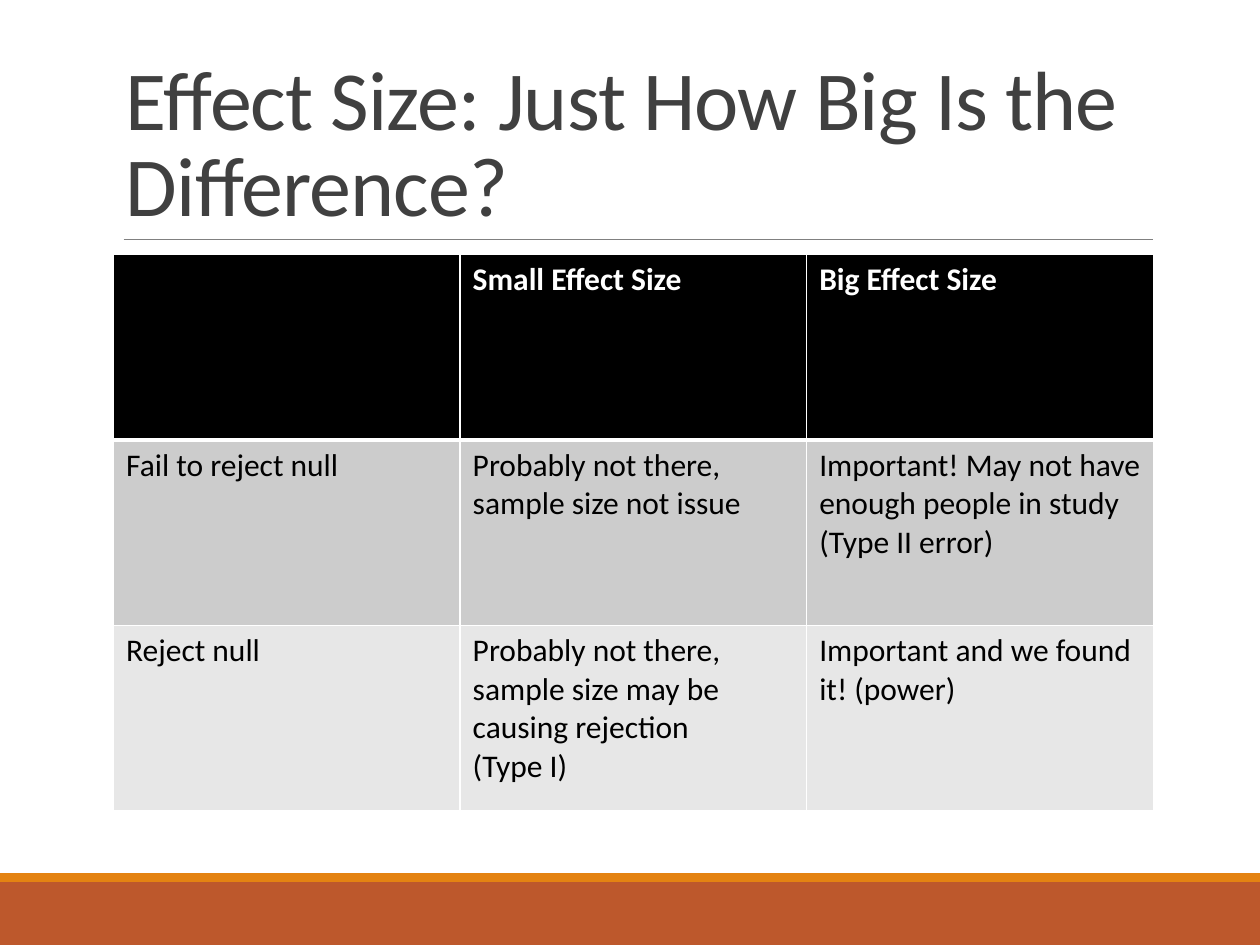
"""Build a slide with a table on effect size and null hypothesis decisions."""
from lxml.etree import SubElement
from pptx import Presentation
from pptx.dml.color import RGBColor
from pptx.enum.shapes import MSO_CONNECTOR, MSO_SHAPE
from pptx.enum.text import MSO_ANCHOR as Anchor, PP_ALIGN as Align
from pptx.oxml import parse_xml
from pptx.oxml.ns import nsdecls, qn
from pptx.util import Cm, Pt

BLACK = RGBColor(0x00, 0x00, 0x00)
WHITE = RGBColor(0xFF, 0xFF, 0xFF)
CHARCOAL = RGBColor(0x40, 0x40, 0x40)
GRAY = RGBColor(0x80, 0x80, 0x80)
RUST = RGBColor(0xBD, 0x58, 0x2C)
ORANGE = RGBColor(0xE4, 0x83, 0x12)
BAND_DARK = RGBColor(0xCC, 0xCC, 0xCC)
BAND_LIGHT = RGBColor(0xE7, 0xE7, 0xE7)

TITLE = "Effect Size: Just How Big Is the Difference?"
ROWS = [
    ("", "Small Effect Size", "Big Effect Size"),
    (
        "Fail to reject null",
        "Probably not there, sample size not issue",
        "Important! May not have enough people in study\n(Type II error)",
    ),
    (
        "Reject null",
        "Probably not there, sample size may be causing rejection\n(Type I)",
        "Important and we found it! (power)",
    ),
]
ROW_FILLS = [BLACK, BAND_DARK, BAND_LIGHT]
FOOTER_BANDS = [(17.78, 1.27, RUST), (17.6, 0.18, ORANGE)]

SLIDE_WIDTH, SLIDE_HEIGHT = 25.4, 19.05
CONTENT_LEFT, CONTENT_WIDTH = 2.29, 20.96
TITLE_TOP, TITLE_HEIGHT = 0.79, 4.04
RULE_LEFT, RULE_RIGHT, RULE_TOP = 2.49, 23.25, 4.83
TABLE_TOP, ROW_HEIGHT = 5.13, 3.74


def write_text(frame, text, *, size, color, bold=False, line_spacing=None, tracking=None):
    """Fill a text frame with one paragraph per line of text."""
    frame.text = text
    frame.word_wrap = True
    for paragraph in frame.paragraphs:
        paragraph.alignment = Align.LEFT
        paragraph.line_spacing = line_spacing
        for run in paragraph.runs:
            run.font.name = "Calibri"
            run.font.size = Pt(size)
            run.font.bold = bold
            run.font.color.rgb = color
            if tracking is not None:
                run.font._element.set("spc", str(int(tracking * 100)))


def set_borders(cell, widths):
    """Give a cell white borders of the given widths in points."""
    properties = cell._tc.get_or_add_tcPr()
    for index, (side, width) in enumerate(widths.items()):
        border = parse_xml(
            f'<a:ln{side} {nsdecls("a")} w="{Pt(width)}"><a:solidFill>'
            f'<a:srgbClr val="{WHITE}"/></a:solidFill></a:ln{side}>'
        )
        properties.insert(index, border)


def add_footer(slide):
    """Draw the coloured bands along the bottom edge."""
    for top, height, color in FOOTER_BANDS:
        band = slide.shapes.add_shape(
            MSO_SHAPE.RECTANGLE, 0, Cm(top), Cm(SLIDE_WIDTH), Cm(height)
        )
        band.shadow.inherit = False
        band.fill.solid()
        band.fill.fore_color.rgb = color
        band.line.fill.background()


def add_title(slide):
    """Add the title and the thin rule below it."""
    rule = slide.shapes.add_connector(
        MSO_CONNECTOR.STRAIGHT, Cm(RULE_LEFT), Cm(RULE_TOP), Cm(RULE_RIGHT), Cm(RULE_TOP)
    )
    rule.line.color.rgb = GRAY
    rule.line.width = Pt(0.5)
    SubElement(rule._element.spPr, qn("a:effectLst"))

    title = slide.shapes.add_textbox(
        Cm(CONTENT_LEFT), Cm(TITLE_TOP), Cm(CONTENT_WIDTH), Cm(TITLE_HEIGHT)
    )
    title.text_frame.vertical_anchor = Anchor.BOTTOM
    write_text(
        title.text_frame, TITLE, size=48, color=CHARCOAL, line_spacing=0.85, tracking=-0.5
    )


def add_effect_table(slide):
    """Add the table with equal columns and equal rows."""
    table = slide.shapes.add_table(
        len(ROWS), len(ROWS[0]), Cm(CONTENT_LEFT), Cm(TABLE_TOP),
        Cm(CONTENT_WIDTH), Cm(ROW_HEIGHT * len(ROWS)),
    ).table
    for row_index, (texts, fill) in enumerate(zip(ROWS, ROW_FILLS)):
        is_header = row_index == 0
        widths = {
            "L": 1, "R": 1, "T": 3 if row_index == 1 else 1, "B": 3 if is_header else 1
        }
        for column_index, text in enumerate(texts):
            cell = table.cell(row_index, column_index)
            cell.fill.solid()
            cell.fill.fore_color.rgb = fill
            set_borders(cell, widths)
            write_text(
                cell.text_frame, text, size=18, bold=is_header,
                color=WHITE if is_header else BLACK,
            )


def main():
    """Build and save the presentation."""
    presentation = Presentation()
    presentation.slide_width = Cm(SLIDE_WIDTH)
    presentation.slide_height = Cm(SLIDE_HEIGHT)
    slide = presentation.slides.add_slide(presentation.slide_layouts[6])
    add_footer(slide)
    add_title(slide)
    add_effect_table(slide)
    presentation.save("out.pptx")


if __name__ == "__main__":
    main()
